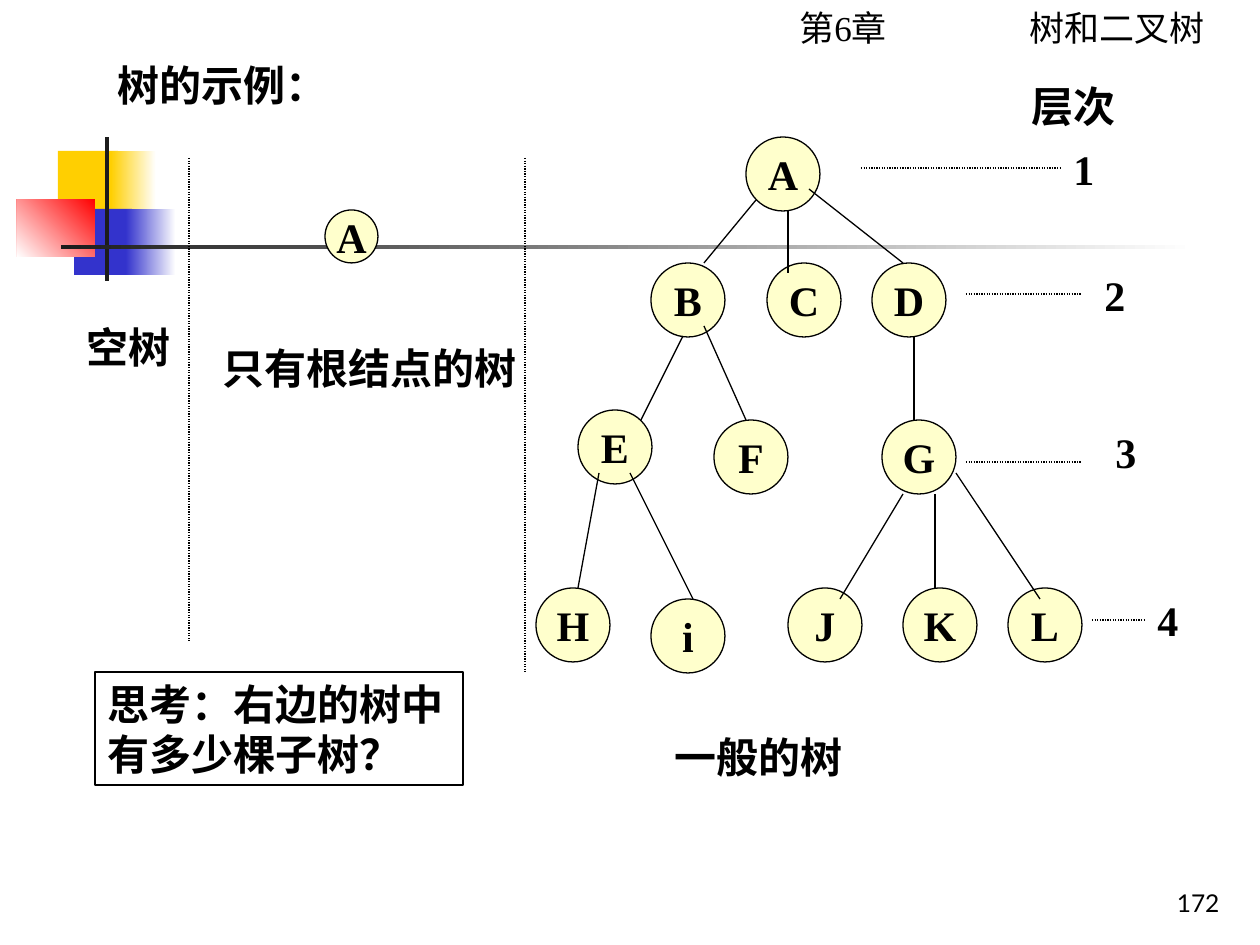
from lxml import etree
from pptx import Presentation
from pptx.dml.color import RGBColor
from pptx.enum.dml import MSO_LINE
from pptx.enum.shapes import MSO_CONNECTOR, MSO_SHAPE
from pptx.enum.text import MSO_ANCHOR as ANCHOR, MSO_AUTO_SIZE, PP_ALIGN as ALIGN
from pptx.oxml.ns import qn
from pptx.util import Emu, Pt

BLACK = RGBColor(0x00, 0x00, 0x00)
WHITE = RGBColor(0xFF, 0xFF, 0xFF)
YELLOW = RGBColor(0xFF, 0xCF, 0x01)
BLUE = RGBColor(0x33, 0x33, 0xCC)
RED = RGBColor(0xFF, 0x00, 0x00)
DARK = RGBColor(0x1C, 0x1C, 0x1C)
CREAM = RGBColor(0xFF, 0xFF, 0xCC)

PX_PER_INCH = 126
TITLE_ONLY = 5
NODE, SMALL_NODE = 74, 53

NODES = [  # label, left, top
    ("A", 746, 137),
    ("B", 651, 263), ("C", 767, 263), ("D", 872, 263),
    ("E", 578, 410), ("F", 714, 420), ("G", 882, 420),
    ("H", 536, 588), ("i", 651, 599),
    ("J", 788, 588), ("K", 903, 588), ("L", 1008, 588),
]
EDGES = [
    (756, 200, 704, 263), (788, 210, 788, 273), (809, 189, 903, 263),
    (683, 336, 641, 420), (704, 326, 746, 420), (914, 336, 914, 420),
    (599, 473, 578, 588), (630, 473, 693, 599),
    (903, 494, 840, 599), (935, 494, 935, 588), (956, 473, 1040, 599),
]
LEVELS = [  # line start, line end, line y, label left, label top
    (861, 1061, 168, 1061, 137),
    (966, 1081, 294, 1092, 263),
    (966, 1081, 462, 1103, 420),
    (1092, 1145, 620, 1145, 588),
]
CAPTIONS = [  # text, left, top, width
    ("层次", 1019, 74, 147),
    ("空树", 74, 315, 126),
    ("只有根结点的树", 210, 336, 347),
    ("一般的树", 662, 725, 336),
]


def px(n):
    return Emu(round(n * 914400 / PX_PER_INCH))


class Board:
    """Holds the text and line style and the slide being drawn."""

    font, size, line_width = "Times New Roman", 24, Pt(0.75)

    def __init__(self, slide):
        self.slide = slide
        self.shapes = slide.shapes

    def put_text(self, sp, text, size=None, font=None, bold=True,
                 align=ALIGN.LEFT, anchor=ANCHOR.TOP, wrap=True):
        tf = sp.text_frame
        tf.auto_size = MSO_AUTO_SIZE.NONE
        tf.word_wrap = wrap
        tf.vertical_anchor = anchor
        p = tf.paragraphs[0]
        p.alignment = align
        r = p.add_run()
        r.text = text
        r.font.name = font or self.font
        r.font.size = Pt(size or self.size)
        r.font.bold = bold
        r.font.color.rgb = BLACK
        return p

    def title(self, text, x, y, w, h):
        sp = self.shapes.title
        sp.left, sp.top, sp.width, sp.height = map(px, (x, y, w, h))
        self.put_text(sp, text)

    def text(self, text, x, y, w, h=63, **style):
        sp = self.shapes.add_textbox(*map(px, (x, y, w, h)))
        return self.put_text(sp, text, **style)

    def shape(self, kind, x, y, w, h, fill=None, outline=True):
        sp = self.shapes.add_shape(kind, *map(px, (x, y, w, h)))
        sp.shadow.inherit = False
        if fill is None:
            sp.fill.background()
        else:
            sp.fill.solid()
            sp.fill.fore_color.rgb = fill
        if outline:
            sp.line.color.rgb = BLACK
            sp.line.width = self.line_width
        else:
            sp.line.fill.background()
        return sp

    def block(self, x, y, w, h, color):
        return self.shape(MSO_SHAPE.RECTANGLE, x, y, w, h, color, outline=False)

    def fade(self, x, y, w, h, start, end, angle=0):
        """Rectangle with a gradient; the angle runs counter-clockwise."""
        fill = self.block(x, y, w, h, start).fill
        fill.gradient()
        fill.gradient_angle = angle
        for stop, color in zip(fill.gradient_stops, (start, end)):
            stop.color.rgb = color

    def node(self, label, x, y, d=NODE):
        sp = self.shape(MSO_SHAPE.OVAL, x, y, d, d, CREAM)
        self.put_text(sp, label, align=ALIGN.CENTER, anchor=ANCHOR.MIDDLE, wrap=False)

    def line(self, x1, y1, x2, y2, dotted=False):
        c = self.shapes.add_connector(MSO_CONNECTOR.STRAIGHT,
                                      *map(px, (x1, y1, x2, y2)))
        c.line.color.rgb = BLACK
        c.line.width = self.line_width
        if dotted:
            c.line.dash_style = MSO_LINE.ROUND_DOT
        etree.SubElement(c._element.spPr, qn("a:effectLst"))

    def tab_stop(self, p, pos):
        tabs = etree.SubElement(p._p.get_or_add_pPr(), qn("a:tabLst"))
        etree.SubElement(tabs, qn("a:tab"), pos=str(px(pos)), algn="l")


def draw_decoration(board):
    board.block(58, 151, 60, 66, YELLOW)
    board.fade(111, 151, 45, 66, YELLOW, WHITE)
    board.block(74, 209, 58, 66, BLUE)
    board.fade(126, 209, 50, 66, BLUE, WHITE)
    board.fade(17, 199, 78, 58, RED, WHITE, angle=225)
    board.block(105, 137, 4, 144, DARK)
    board.fade(61, 245, 1134, 4, DARK, WHITE)


def draw_tree(board):
    for node in NODES:
        board.node(*node)
    for edge in EDGES:
        board.line(*edge)
    for number, (x1, x2, y, left, top) in enumerate(LEVELS, 1):
        board.line(x1, y, x2, y, dotted=True)
        board.text(str(number), left, top, 63)


def main():
    prs = Presentation()
    prs.slide_width, prs.slide_height = px(1260), px(945)
    board = Board(prs.slides.add_slide(prs.slide_layouts[TITLE_ONLY]))

    draw_decoration(board)
    header = board.text("第6章\t树和二叉树", 787, 0, 473, 55, size=20, bold=False)
    board.tab_stop(header, 230)
    board.title("树的示例：", 105, 53, 462, 63)
    board.node("A", 325, 210, SMALL_NODE)
    draw_tree(board)
    for caption in CAPTIONS:
        board.text(*caption)
    question = board.shape(MSO_SHAPE.RECTANGLE, 95, 672, 368, 113)
    board.put_text(question, "思考：右边的树中有多少棵子树？")
    for x, bottom in ((189, 641), (525, 672)):
        board.line(x, 158, x, bottom, dotted=True)
    board.text("172", 970, 861, 262, size=14, font="Lato", bold=False,
               align=ALIGN.RIGHT, anchor=ANCHOR.BOTTOM)
    prs.save("out.pptx")


if __name__ == "__main__":
    main()
